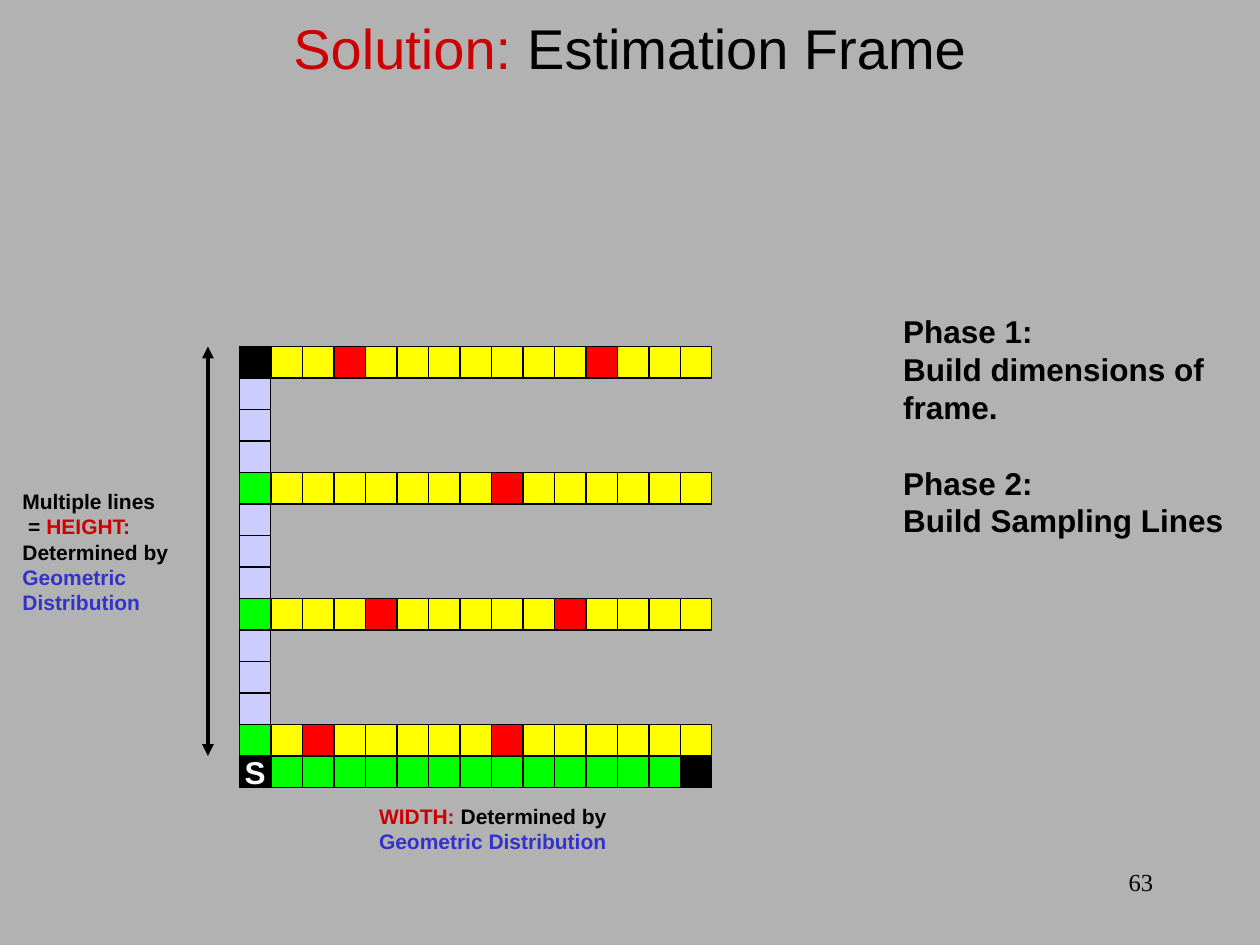
from lxml import etree
from pptx import Presentation
from pptx import util as u
from pptx.dml.color import RGBColor
from pptx.enum import shapes, text
from pptx.oxml.ns import qn

BLACK, WHITE, GREY = "000000", "FFFFFF", "B2B2B2"
GREEN, YELLOW, RED, LILAC = "00FF00", "FFFF00", "FF0000", "CCCCFF"
ACCENT, LAW = "CC0000", "3333CC"


def paint(target, colour):
    target.rgb = RGBColor.from_string(colour)


class FrameSlide:
    cell = u.Inches(0.25)
    face = "Arial"

    def __init__(self, deck):
        self.slide = deck.slides.add_slide(deck.slide_layouts[5])
        backdrop = self.slide.background.fill
        backdrop.solid()
        paint(backdrop.fore_color, GREY)

    def grid(self, *lengths):
        return [round(length * self.cell) for length in lengths]

    def typeset(self, frame, lines, size, bold=True, face=None, align=text.PP_ALIGN.LEFT):
        for index, pieces in enumerate(lines):
            paragraph = frame.paragraphs[0] if index == 0 else frame.add_paragraph()
            paragraph.alignment = align
            paragraph.line_spacing = u.Pt(1.2 * size)
            for words, colour in pieces:
                run = paragraph.add_run()
                run.text = words
                run.font.name = face or self.face
                run.font.size = u.Pt(size)
                run.font.bold = bold
                paint(run.font.color, colour)

    def title(self, box, pieces, size):
        heading = self.slide.shapes.title
        heading.left, heading.top, heading.width, heading.height = self.grid(*box)
        frame = heading.text_frame
        frame.vertical_anchor = text.MSO_ANCHOR.MIDDLE
        frame.auto_size = text.MSO_AUTO_SIZE.NONE
        self.typeset(frame, [pieces], size, bold=False, align=text.PP_ALIGN.CENTER)

    def label(self, box, lines, size, wrap=False, grow=True, **style):
        frame = self.slide.shapes.add_textbox(*self.grid(*box)).text_frame
        frame.word_wrap = wrap
        if grow:
            frame.auto_size = text.MSO_AUTO_SIZE.SHAPE_TO_FIT_TEXT
        self.typeset(frame, lines, size, **style)
        return frame

    def square(self, column, row, colour):
        tile = self.slide.shapes.add_shape(
            shapes.MSO_SHAPE.RECTANGLE, *self.grid(column, row, 1, 1))
        tile.shadow.inherit = False
        tile.fill.solid()
        paint(tile.fill.fore_color, colour)
        paint(tile.line.color, BLACK)
        tile.line.width = u.Pt(0.75)
        return tile

    def letter(self, tile, words, size):
        frame = tile.text_frame
        frame.word_wrap = False
        frame.vertical_anchor = text.MSO_ANCHOR.MIDDLE
        self.typeset(frame, [[(words, WHITE)]], size, align=text.PP_ALIGN.CENTER)

    def double_arrow(self, *ends):
        arrow = self.slide.shapes.add_connector(
            shapes.MSO_CONNECTOR.STRAIGHT, *self.grid(*ends))
        paint(arrow.line.color, BLACK)
        arrow.line.width = u.Pt(2.25)
        properties = arrow._element.spPr
        outline = properties.find(qn("a:ln"))
        for end in ("a:headEnd", "a:tailEnd"):
            etree.SubElement(outline, qn(end), type="triangle")
        etree.SubElement(properties, qn("a:effectLst"))


def main():
    deck = Presentation()
    deck.slide_width, deck.slide_height = u.Inches(10), u.Inches(7.5)
    page = FrameSlide(deck)

    page.title((0, 0.32, 40, 2.32),
               [("Solution: ", ACCENT), ("Estimation Frame", BLACK)], 32)

    left, top, width, height = 7.6, 11, 15, 13
    base = top + height
    sampled = {0: (3, 11), 4: (8,), 8: (4, 10), 12: (2, 8)}

    for column in range(width):
        corner = column in (0, width - 1)
        tile = page.square(left + column, base, BLACK if corner else GREEN)
        if column == 0:
            page.letter(tile, "S", 18)

    for row in range(height):
        spine = BLACK if row == 0 else GREEN if row in sampled else LILAC
        page.square(left, top + row, spine)
        if row in sampled:
            for column in range(1, width):
                hit = column in sampled[row]
                page.square(left + column, top + row, RED if hit else YELLOW)

    page.double_arrow(left - 1, top, left - 1, base)
    page.label((0.32, 15.32, 5.6, 4.4), [
        [("Multiple lines", BLACK)],
        [(" = ", BLACK), ("HEIGHT:", ACCENT)],
        [("Determined by", BLACK)],
        [("Geometric", LAW)],
        [("Distribution", LAW)],
    ], 12)
    page.label((11.64, 25.32, 8.2, 2), [
        [("WIDTH: ", ACCENT), ("Determined by", BLACK)],
        [("Geometric Distribution", LAW)],
    ], 12)

    phases = page.label((28.28, 9.72, 11.72, 8.8), [
        [("Phase 1:", BLACK)],
        [("Build dimensions of frame.", BLACK)],
        [("Phase 2:", BLACK)],
        [("Build Sampling Lines", BLACK)],
    ], 18, wrap=True)
    phases.paragraphs[2].space_before = u.Pt(21.6)

    page.label((28.68, 27.32, 8.32, 2), [[("63", BLACK)]], 14, wrap=True, grow=False,
               bold=False, face="Times New Roman", align=text.PP_ALIGN.RIGHT)

    deck.save("out.pptx")


if __name__ == "__main__":
    main()
